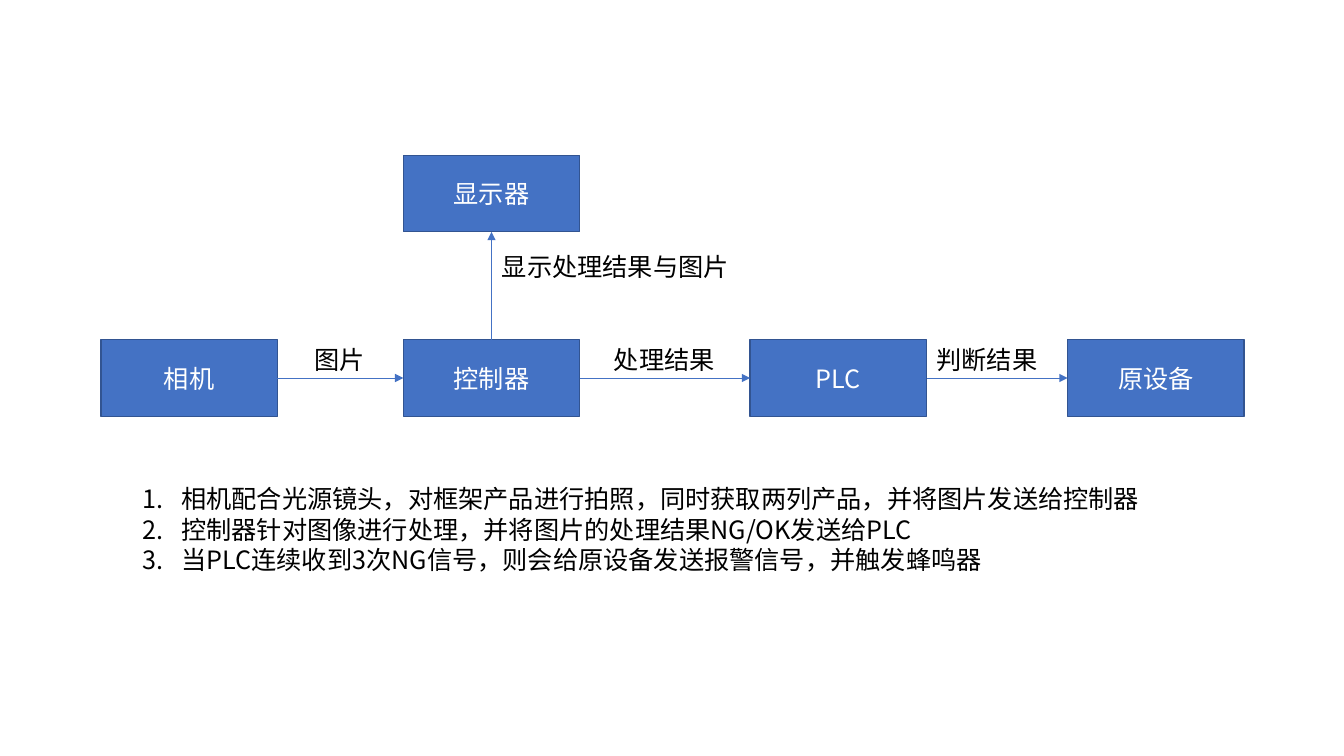
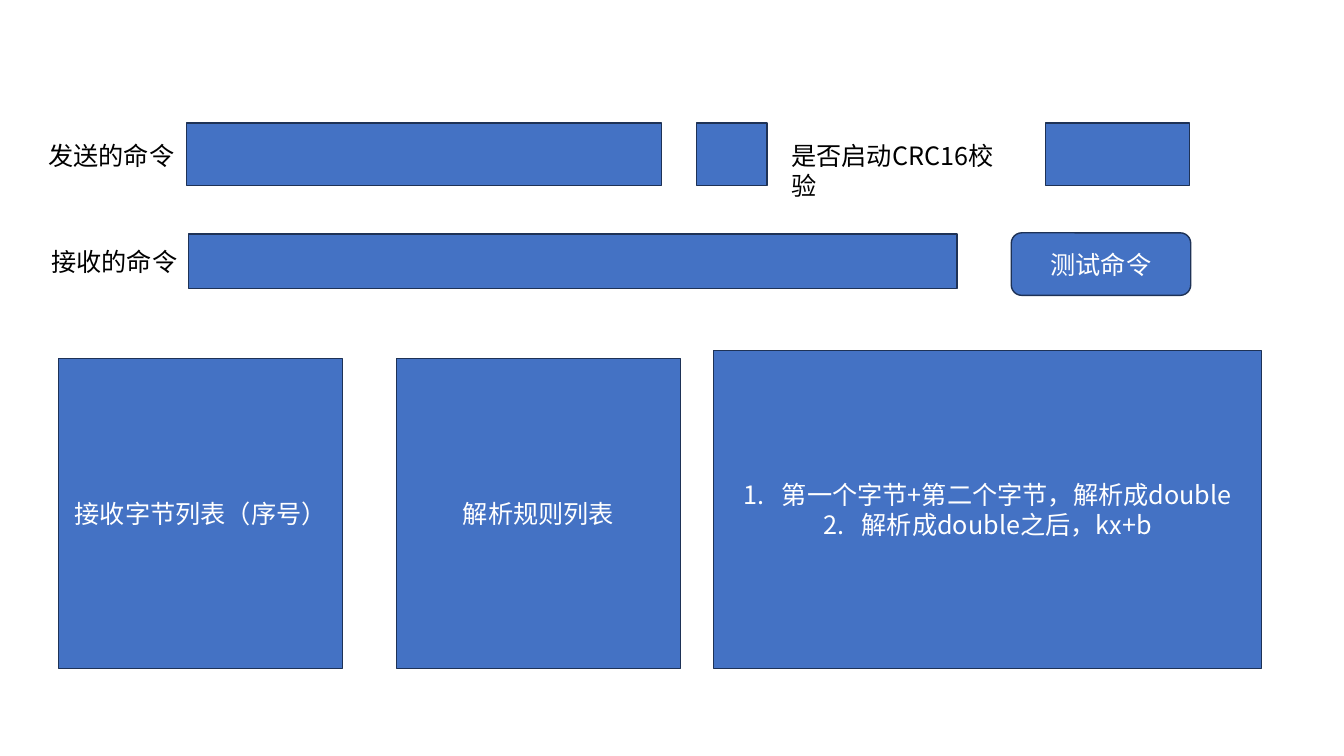
from lxml import etree
from pptx import Presentation
from pptx.dml.color import RGBColor
from pptx.enum.shapes import MSO_CONNECTOR, MSO_SHAPE
from pptx.enum.text import MSO_ANCHOR, MSO_AUTO_SIZE, PP_ALIGN
from pptx.oxml.ns import qn
from pptx.util import Pt

PX = 9144  # 100 px to the inch
FONT = "Noto Sans CJK SC"
BLUE, WHITE, BLACK = "4472C4", "FFFFFF", "000000"
FLOW_EDGE, FORM_EDGE = "325491", "1E3256"
NUMBER_INDENT = 38
TOP, LEFT, BOTTOM, RIGHT = range(4)  # connection sites of a rectangle


def px(*lengths):
    return [length * PX for length in lengths]


def rgb(hex_color):
    return RGBColor.from_string(hex_color)


def number(paragraph):
    """Give the paragraph an automatic number with a hanging indent."""
    props = paragraph._p.get_or_add_pPr()
    props.set("marL", str(NUMBER_INDENT * PX))
    props.set("indent", str(-NUMBER_INDENT * PX))
    etree.SubElement(props, qn("a:buAutoNum"), type="arabicPeriod")


def write(frame, lines, color, align, numbered):
    frame.text = "\n".join(lines)
    for paragraph in frame.paragraphs:
        paragraph.alignment = align
        if numbered:
            number(paragraph)
        for run in paragraph.runs:
            run.font.size = Pt(18)
            run.font.name = FONT
            run.font.color.rgb = rgb(color)
            etree.SubElement(run._r.get_or_add_rPr(), qn("a:ea"), typeface=FONT)


def add_box(slide, bounds, edge, *lines, preset=MSO_SHAPE.RECTANGLE, numbered=False):
    box = slide.shapes.add_shape(preset, *px(*bounds))
    box.shadow.inherit = False
    box.fill.solid()
    box.fill.fore_color.rgb = rgb(BLUE)
    box.line.color.rgb = rgb(edge)
    box.line.width = Pt(1)
    if lines:
        box.text_frame.vertical_anchor = MSO_ANCHOR.MIDDLE
        write(box.text_frame, lines, WHITE, PP_ALIGN.CENTER, numbered)
    return box


def add_label(slide, bounds, *lines, wrap=False, numbered=False):
    frame = slide.shapes.add_textbox(*px(*bounds)).text_frame
    frame.word_wrap = wrap
    frame.auto_size = MSO_AUTO_SIZE.SHAPE_TO_FIT_TEXT
    write(frame, lines, BLACK, PP_ALIGN.LEFT, numbered)


def add_arrow(slide, source, source_site, target, target_site):
    arrow = slide.shapes.add_connector(MSO_CONNECTOR.STRAIGHT, 0, 0, 0, 0)
    arrow.begin_connect(source, source_site)
    arrow.end_connect(target, target_site)
    arrow.line.color.rgb = rgb(BLUE)
    arrow.line.width = Pt(0.5)
    etree.SubElement(arrow.line._get_or_add_ln(), qn("a:tailEnd"), type="triangle")
    etree.SubElement(arrow._element.spPr, qn("a:effectLst"))


def build_flow(slide):
    row_top, width, height = 337, 175, 76
    display = add_box(slide, (400, 154, width, height), FLOW_EDGE, "显示器")
    camera, controller, plc, device = chain = [
        add_box(slide, (left, row_top, width, height), FLOW_EDGE, name)
        for left, name in ((100, "相机"), (400, "控制器"), (744, "PLC"), (1059, "原设备"))
    ]
    for source, target in zip(chain, chain[1:]):
        add_arrow(slide, source, RIGHT, target, LEFT)
    add_arrow(slide, controller, TOP, display, BOTTOM)

    for left, top, label_width, message in (
        (302, row_top, 71, "图片"),
        (599, row_top, 121, "处理结果"),
        (919, row_top, 121, "判断结果"),
        (488, 244, 247, "显示处理结果与图片"),
    ):
        add_label(slide, (left, top, label_width, 40), message)
    add_label(
        slide, (132, 475, 1017, 101),
        "相机配合光源镜头，对框架产品进行拍照，同时获取两列产品，并将图片发送给控制器",
        "控制器针对图像进行处理，并将图片的处理结果NG/OK发送给PLC",
        "当PLC连续收到3次NG信号，则会给原设备发送报警信号，并触发蜂鸣器",
        numbered=True,
    )


def build_form(slide):
    send_top, send_height = 122, 62
    add_label(slide, (38, 134, 146, 40), "发送的命令")
    for left, width in ((185, 471), (691, 70), (1037, 143)):
        add_box(slide, (left, send_top, width, send_height), FORM_EDGE)
    add_label(slide, (775, 134, 244, 40), "是否启动CRC16校验", wrap=True)

    add_label(slide, (41, 239, 146, 40), "接收的命令")
    add_box(slide, (187, 232, 762, 54), FORM_EDGE)
    add_box(slide, (1003, 231, 178, 62), FORM_EDGE, "测试命令",
            preset=MSO_SHAPE.ROUNDED_RECTANGLE)

    for left, heading in ((58, "接收字节列表（序号）"), (393, "解析规则列表")):
        add_box(slide, (left, 356, 282, 307), FORM_EDGE, heading)
    add_box(slide, (708, 348, 543, 315), FORM_EDGE,
            "第一个字节+第二个字节，解析成double", "解析成double之后，kx+b",
            numbered=True)


def main():
    deck = Presentation()
    deck.slide_width, deck.slide_height = px(1333, 750)
    blank = deck.slide_layouts[6]
    for build in (build_flow, build_form):
        build(deck.slides.add_slide(blank))
    deck.save("out.pptx")


if __name__ == "__main__":
    main()
